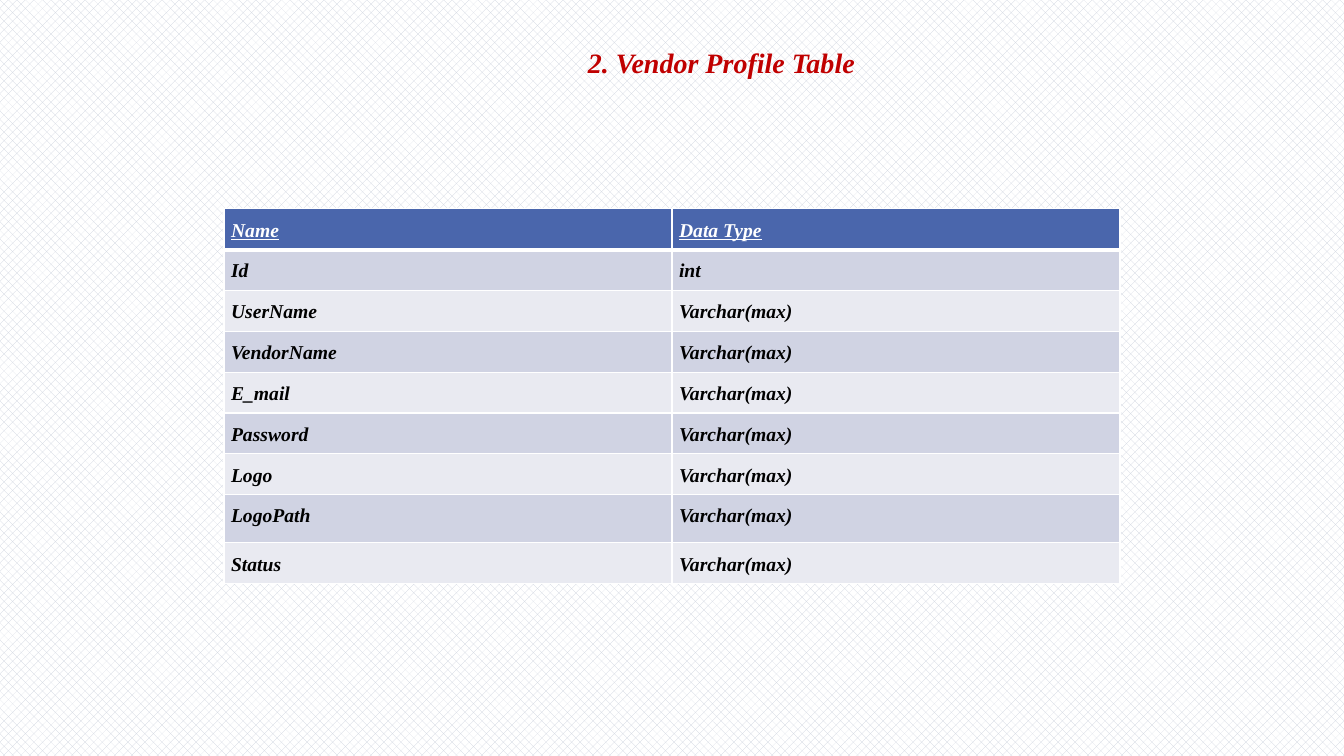
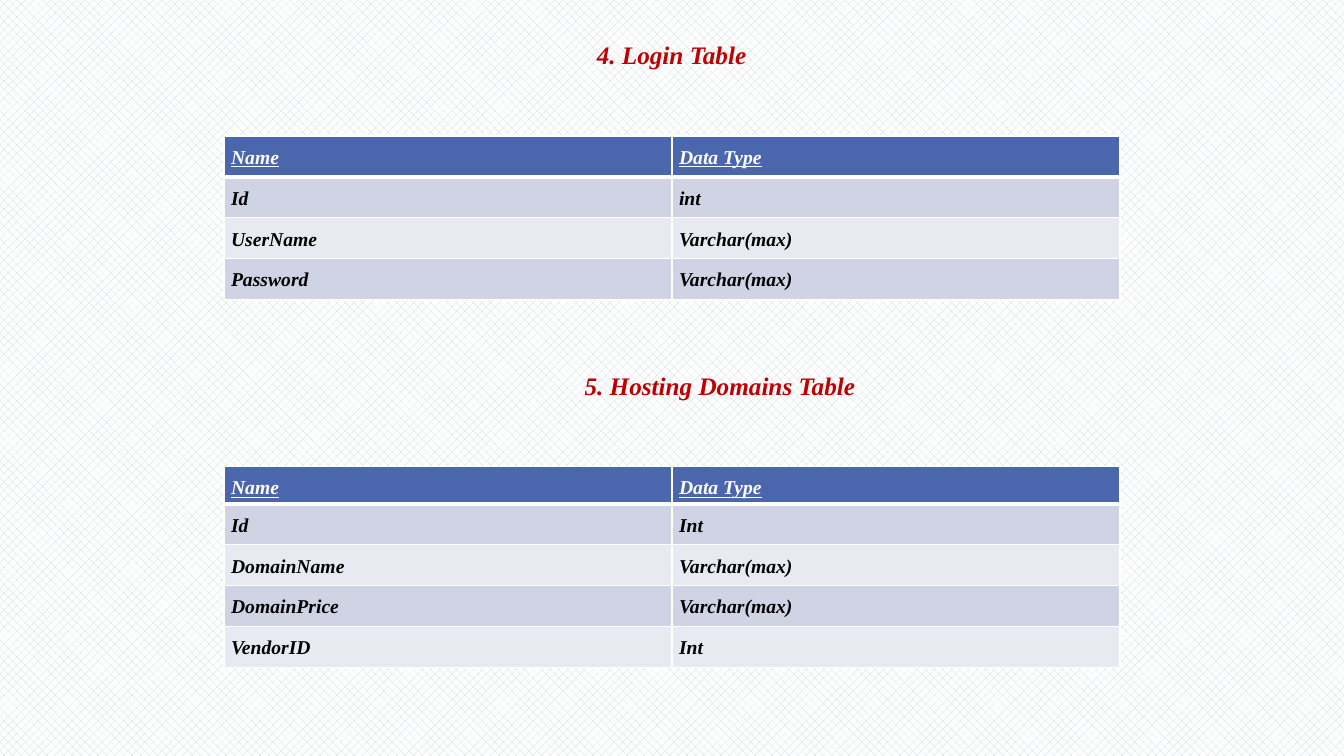
import lxml.etree
import pptx
import pptx.dml.color
import pptx.enum.dml
import pptx.enum.text
import pptx.oxml.ns
import pptx.util

RED = pptx.dml.color.RGBColor(0xC0, 0x00, 0x00)
BLUE = pptx.dml.color.RGBColor(0x4A, 0x66, 0xAC)
BAND_DARK = pptx.dml.color.RGBColor(0xD0, 0xD3, 0xE3)
BAND_LIGHT = pptx.dml.color.RGBColor(0xE9, 0xEA, 0xF1)
WEAVE = pptx.dml.color.RGBColor(0xCC, 0xD2, 0xDD)
WHITE = pptx.dml.color.RGBColor(0xFF, 0xFF, 0xFF)
BLACK = pptx.dml.color.RGBColor(0x00, 0x00, 0x00)
TEXT = "Varchar(max)"


class SchemaDeck:
    """Builds schema slides on a grid of 12 columns and 18.5 table rows."""

    FONT = "Times New Roman"
    COLUMNS, ROWS = 12, 18.5
    TABLE_LEFT, TABLE_SPAN = 2, 8
    LINE_SPACING = 1.5

    def __init__(self):
        self.deck = pptx.Presentation()
        self.deck.slide_width = pptx.util.Inches(13.33)
        self.deck.slide_height = pptx.util.Inches(7.5)
        self.slide = None

    def x(self, columns):
        return round(self.deck.slide_width * columns / self.COLUMNS)

    def y(self, rows):
        return round(self.deck.slide_height * rows / self.ROWS)

    def new_slide(self):
        self.slide = self.deck.slides.add_slide(self.deck.slide_layouts[6])
        fill = self.slide.background.fill
        fill.patterned()
        fill.pattern = pptx.enum.dml.MSO_PATTERN.WEAVE
        fill.fore_color.rgb = WEAVE
        fill.back_color.rgb = WHITE

    def style(self, paragraph, size, color, underline=False):
        font = paragraph.font
        font.name, font.size = self.FONT, pptx.util.Pt(size)
        font.bold = font.italic = True
        font.underline = underline
        font.color.rgb = color

    def title(self, text, left, top, width, height, size=18, indented=True):
        box = self.slide.shapes.add_textbox(
            self.x(left), self.y(top), self.x(width), self.y(height))
        box.text_frame.word_wrap = True
        heading = box.text_frame.paragraphs[0]
        heading.text = text
        if indented:
            heading.line_spacing = self.LINE_SPACING
            heading._p.get_or_add_pPr().set("marL", str(pptx.util.Inches(1)))
        self.style(heading, size, RED)

    def border(self, cell, side, width):
        properties = cell._tc.get_or_add_tcPr()
        line = lxml.etree.SubElement(
            properties, pptx.oxml.ns.qn("a:ln" + side), w=str(pptx.util.Pt(width)))
        solid = lxml.etree.SubElement(line, pptx.oxml.ns.qn("a:solidFill"))
        lxml.etree.SubElement(solid, pptx.oxml.ns.qn("a:srgbClr"), val=str(WHITE))

    def cell(self, cell, text, row):
        header = row == 0
        for side in "LRTB":
            heavy = (row, side) in ((0, "B"), (1, "T"))
            self.border(cell, side, 3 if heavy else 1)
        cell.fill.solid()
        cell.fill.fore_color.rgb = (
            BLUE if header else BAND_DARK if row % 2 else BAND_LIGHT)
        cell.margin_left = cell.margin_right = pptx.util.Inches(0.07)
        cell.margin_top = cell.margin_bottom = 0
        entry = cell.text_frame.paragraphs[0]
        entry.text = text
        entry.alignment = pptx.enum.text.PP_ALIGN.JUSTIFY
        entry.line_spacing = self.LINE_SPACING
        self.style(entry, 14, WHITE if header else BLACK, underline=header)

    def schema(self, top, fields, odd_heights):
        records = [("Name", "Data Type"), *fields]
        heights = [odd_heights.get(name, 1) for name, _ in records]
        table = self.slide.shapes.add_table(
            len(records), 2, self.x(self.TABLE_LEFT), self.y(top),
            self.x(self.TABLE_SPAN), self.y(sum(heights))).table
        for row, (record, height) in enumerate(zip(records, heights)):
            table.rows[row].height = self.y(height)
            for column, text in enumerate(record):
                self.cell(table.cell(row, column), text, row)


def main():
    deck = SchemaDeck()

    deck.new_slide()
    deck.title("2. Vendor Profile Table", 4.26, 0.57, 3.49, 4.66, size=20)
    vendor_texts = ("UserName", "VendorName", "E_mail", "Password",
                    "Logo", "LogoPath", "Status")
    deck.schema(5.11, [("Id", "int"), *((name, TEXT) for name in vendor_texts)],
                {"LogoPath": 1.18})

    deck.new_slide()
    deck.title("4. Login Table", 5.24, 0.84, 1.6, 2.49, indented=False)
    deck.schema(3.33, [("Id", "int"), ("UserName", TEXT), ("Password", TEXT)], {})
    deck.title("5. Hosting Domains Table", 4.23, 8.56, 3.6, 3.31)
    deck.schema(11.42, [("Id", "Int"), ("DomainName", TEXT),
                        ("DomainPrice", TEXT), ("VendorID", "Int")],
                {"Name": 0.91})

    deck.deck.save("out.pptx")


if __name__ == "__main__":
    main()
